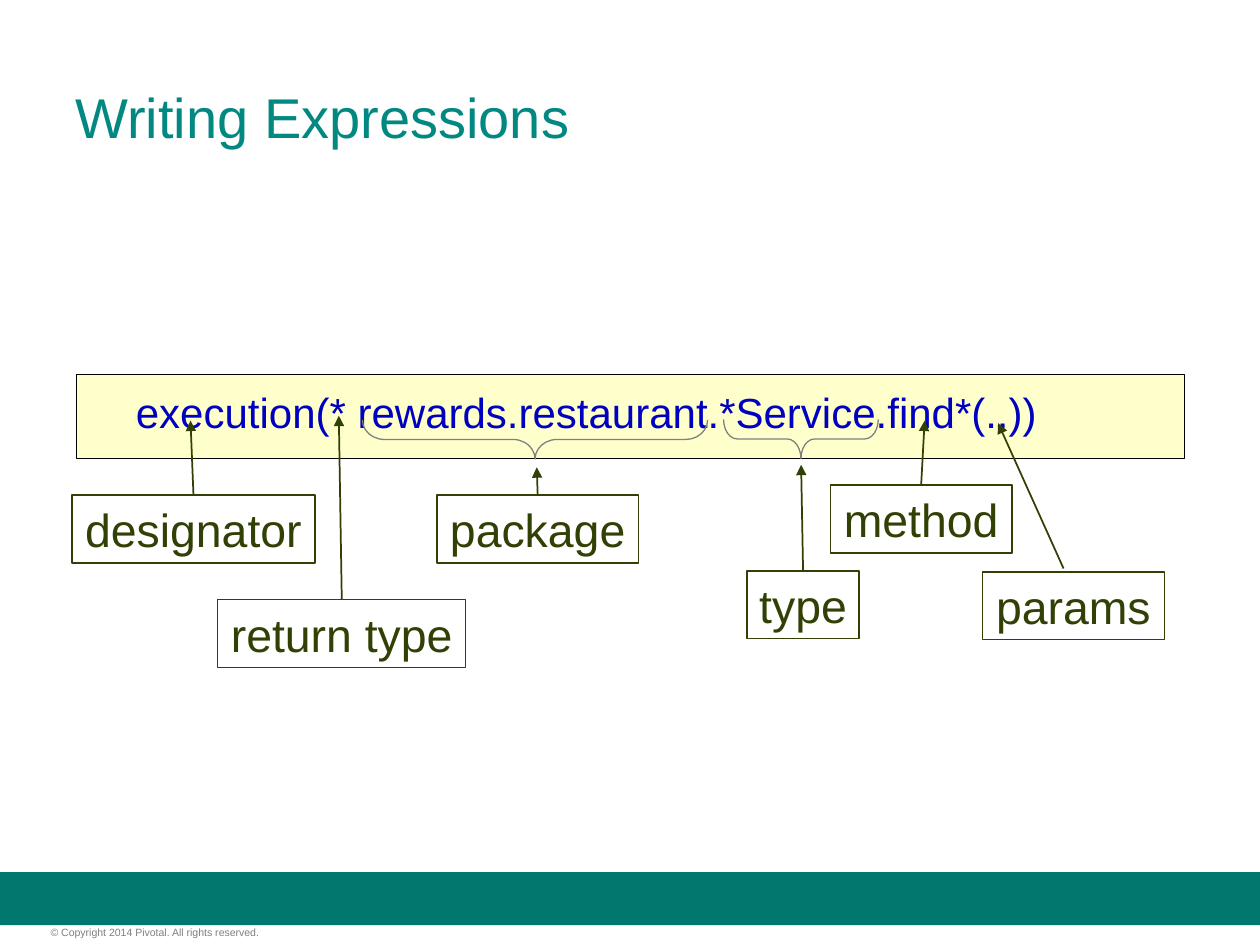
from lxml import etree
from pptx import Presentation
from pptx.dml.color import RGBColor
from pptx.enum.dml import MSO_LINE
from pptx.enum.shapes import MSO_CONNECTOR, MSO_SHAPE
from pptx.enum.text import MSO_ANCHOR, PP_ALIGN
from pptx.oxml.ns import qn
from pptx.util import Cm, Pt

RECT, BRACE = MSO_SHAPE.RECTANGLE, MSO_SHAPE.RIGHT_BRACE
LINE, SOLID = MSO_CONNECTOR.STRAIGHT, MSO_LINE.SOLID
TOP, MID = MSO_ANCHOR.TOP, MSO_ANCHOR.MIDDLE
LEFT, CENTER = PP_ALIGN.LEFT, PP_ALIGN.CENTER

COLORS = {
    "bar": "00786E", "foot": "7F7F7F", "title": "008881",
    "cream": "FFFFCC", "code": "0000C0", "black": "000000",
    "olive": "314004", "white": "FFFFFF", "gray": "808080",
}
TITLE = "Writing Expressions"
CODE = "execution(* rewards.restaurant.*Service.find*(..))"
FOOT = "© Copyright 2014 Pivotal. All rights reserved."

# label, left, top, width, arrow tip, free arrow start
LABELS = [
    ("return type", 4.39, 12.09, 5.0, (6.83, 8.38), None),
    ("package", 8.81, 9.98, 4.06, (10.82, 9.42), None),
    ("type", 15.06, 11.51, 2.26, (16.15, 9.37), None),
    ("params", 19.81, 11.53, 3.66, (20.12, 8.53), (21.44, 11.46)),
    ("method", 16.74, 9.78, 3.66, (18.64, 8.48), None),
    ("designator", 1.45, 9.98, 4.9, (3.84, 8.48), None),
]
TALL = 1.37
BRACES = [((10.39, 5.38, 0.79, 6.96), 0.56), ((15.75, 7.29, 0.79, 3.12), 0.35)]


def color(name):
    return RGBColor.from_string(COLORS[name])


def write(shape, text, size, hue, align=LEFT, anchor=MID, pad=(0.25, 0.13)):
    frame = shape.text_frame
    frame.text = text
    frame.vertical_anchor = anchor
    frame.margin_left = frame.margin_right = Cm(pad[0])
    frame.margin_top = frame.margin_bottom = Cm(pad[1])
    para = frame.paragraphs[0]
    para.alignment = align
    font = para.runs[0].font
    font.name, font.size = "Arial", Pt(size)
    font.color.rgb = color(hue)


def draw(shapes, kind, place, fill=None, line=None, width=0):
    shape = shapes.add_shape(kind, *map(Cm, place))
    shape.shadow.inherit = False
    if fill:
        shape.fill.solid()
        shape.fill.fore_color.rgb = color(fill)
    else:
        shape.fill.background()
    if line:
        shape.line.color.rgb = color(line)
        shape.line.width = Pt(width)
    else:
        shape.line.fill.background()
    return shape


def point(shapes, box, start, tip):
    first = start or tip
    arrow = shapes.add_connector(LINE, *map(Cm, (*first, *tip)))
    if not start:
        arrow.begin_connect(box, 0)
    arrow.line.color.rgb = color("olive")
    arrow.line.width = Pt(1)
    arrow.line.dash_style = SOLID
    etree.SubElement(arrow.line._get_or_add_ln(), qn("a:tailEnd"), type="triangle")
    etree.SubElement(arrow._element.spPr, qn("a:effectLst"))


def main():
    deck = Presentation()
    deck.slide_width, deck.slide_height = Cm(25.4), Cm(19.05)
    shapes = deck.slides.add_slide(deck.slide_layouts[6]).shapes

    draw(shapes, RECT, (0, 17.58, 25.4, 1.07), "bar")
    foot = shapes.add_textbox(*map(Cm, (1.02, 18.67, 6.32, 0.25)))
    foot.text_frame.word_wrap = True
    write(foot, FOOT, 6, "foot", anchor=TOP, pad=(0, 0))
    title = shapes.add_textbox(*map(Cm, (1.27, 0.76, 22.86, 3.18)))
    title.text_frame.word_wrap = True
    write(title, TITLE, 32, "title")

    code = draw(shapes, RECT, (1.55, 7.55, 22.33, 1.69), "cream", "black", 0.5)
    write(code, CODE, 24, "code", anchor=TOP, pad=(1.19, 0.24))

    for place, bend in BRACES:
        brace = draw(shapes, BRACE, place, None, "gray")
        brace.adjustments[0] = bend
        brace.rotation = 90

    for text, left, top, wide, tip, start in LABELS:
        box = draw(shapes, RECT, (left, top, wide, TALL), "white", "olive", 0.75)
        box.text_frame.word_wrap = False
        write(box, text, 26.5, "olive", CENTER)
        point(shapes, box, start, tip)

    deck.save("out.pptx")


if __name__ == "__main__":
    main()
